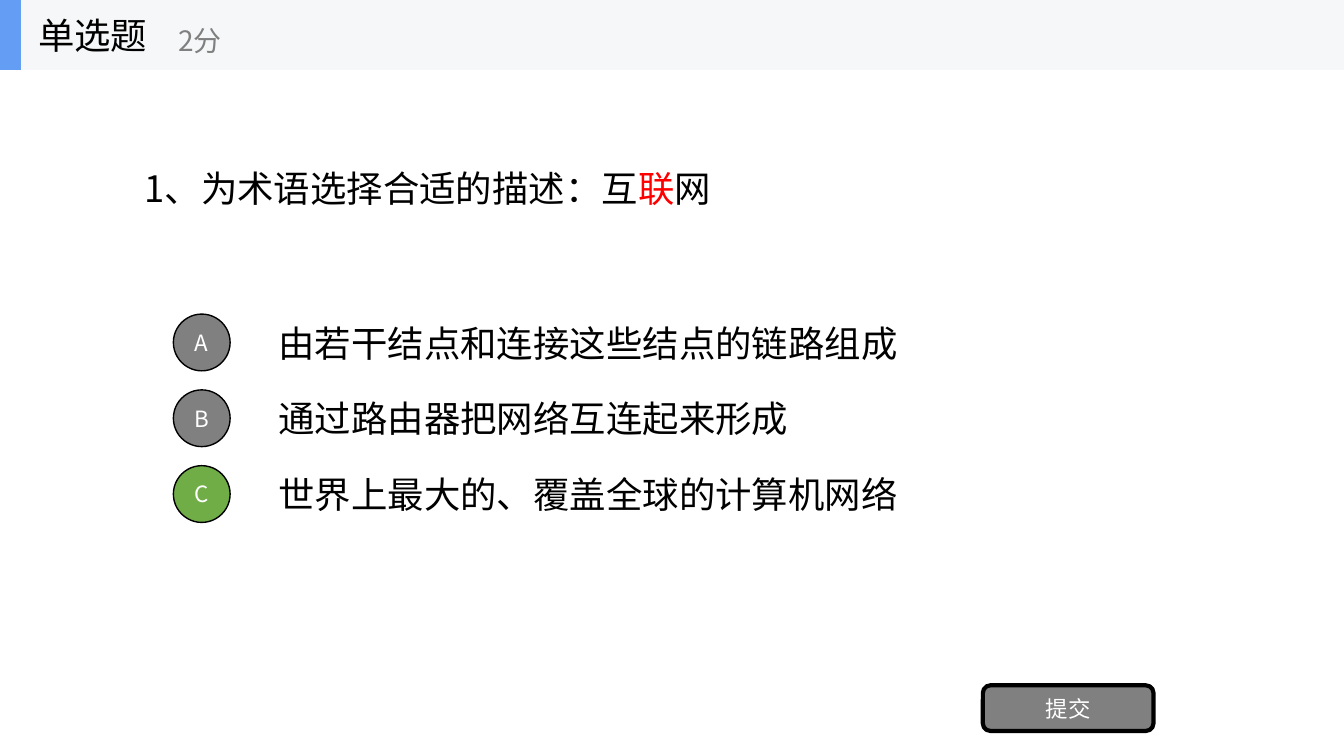
from lxml.etree import SubElement
from pptx import Presentation
from pptx.dml.color import RGBColor
from pptx.enum.shapes import MSO_SHAPE
from pptx.enum.text import MSO_ANCHOR, PP_ALIGN
from pptx.oxml.ns import qn
from pptx.util import Cm, Pt

FONT = "Noto Sans CJK SC"
COLORS = {
    "ink": "000000",
    "accent": "FF0000",
    "gray": "808080",
    "answer": "70AD47",
    "white": "FFFFFF",
    "bar": "F6F7F8",
    "marker": "639EF4",
}
OPTIONS = [
    ("A", "由若干结点和连接这些结点的链路组成", "gray"),
    ("B", "通过路由器把网络互连起来形成", "gray"),
    ("C", "世界上最大的、覆盖全球的计算机网络", "answer"),
]
OPTION_TOP, OPTION_HEIGHT, OPTION_PITCH = 7.74, 1.78, 1.91
BADGE_SIZE = 1.43
BAR_WIDTH, BAR_HEIGHT = 33.87, 1.76


def color(name):
    """Return the palette colour with this name."""
    return RGBColor.from_string(COLORS[name])


def apply_format(target, values):
    """Set every attribute in values on target."""
    for attribute, value in values.items():
        setattr(target, attribute, value)


def write_text(frame, parts, size, align=PP_ALIGN.LEFT):
    """Write (words, colour) parts as one vertically centred paragraph."""
    apply_format(frame, {"word_wrap": True, "vertical_anchor": MSO_ANCHOR.MIDDLE})
    paragraph = frame.paragraphs[0]
    paragraph.alignment = align
    for words, tint in parts:
        run = paragraph.add_run()
        run.text = words
        apply_format(run.font, {"name": FONT, "size": Pt(size)})
        run.font.color.rgb = color(tint)
        SubElement(run.font._element, qn("a:ea"), typeface=FONT)


def add_label(slide, box, parts, size=26):
    """Add a text box holding one line of coloured parts."""
    label = slide.shapes.add_textbox(*map(Cm, box))
    write_text(label.text_frame, parts, size)


def add_panel(slide, kind, box, fill, outline=0):
    """Add a filled shape, outlined in ink when outline is a width in points."""
    panel = slide.shapes.add_shape(kind, *map(Cm, box))
    panel.shadow.inherit = False
    panel.fill.solid()
    panel.fill.fore_color.rgb = color(fill)
    if outline:
        panel.line.color.rgb = color("ink")
        panel.line.width = Pt(outline)
    else:
        panel.line.fill.background()
    return panel


def add_button(slide, kind, box, caption, fill, outline):
    """Add an outlined shape with a centred white caption."""
    button = add_panel(slide, kind, box, fill, outline)
    margins = ("margin_left", "margin_right", "margin_top", "margin_bottom")
    apply_format(button.text_frame, dict.fromkeys(margins, 0))
    write_text(button.text_frame, [(caption, "white")], 16, PP_ALIGN.CENTER)


def add_option(slide, index, letter, answer, fill):
    """Add one answer row with its round letter badge."""
    top = OPTION_TOP + index * OPTION_PITCH
    add_label(slide, (6.77, top, 23.71, OPTION_HEIGHT), [(answer, "ink")])
    badge_top = top + (OPTION_HEIGHT - BADGE_SIZE) / 2
    badge_box = (4.37, badge_top, BADGE_SIZE, BADGE_SIZE)
    add_button(slide, MSO_SHAPE.OVAL, badge_box, letter, fill, 1)


def add_header(slide):
    """Add the top bar with the question type and its points."""
    add_panel(slide, MSO_SHAPE.RECTANGLE, (0, 0, BAR_WIDTH, BAR_HEIGHT), "bar")
    add_panel(slide, MSO_SHAPE.RECTANGLE, (0, 0, 0.53, BAR_HEIGHT), "marker")
    add_label(slide, (0.71, 0, 5.28, BAR_HEIGHT), [("单选题", "ink")])
    add_label(slide, (4.24, 0.31, 6.35, 1.43), [("2分", "gray")], 20)


def main():
    """Build the quiz slide and save it."""
    deck = Presentation()
    apply_format(deck, {"slide_width": Cm(BAR_WIDTH), "slide_height": Cm(19.05)})
    slide = deck.slides.add_slide(deck.slide_layouts[6])
    question = [("1、为术语选择合适的描述：互", "ink"), ("联", "accent"), ("网", "ink")]
    add_label(slide, (3.39, BAR_HEIGHT, 27.09, 5.94), question)
    for index, option in enumerate(OPTIONS):
        add_option(slide, index, *option)
    submit_box = (24.77, 17.27, 4.3, 1.15)
    add_button(slide, MSO_SHAPE.ROUNDED_RECTANGLE, submit_box, "提交", "gray", 3)
    add_header(slide)
    deck.save("out.pptx")


if __name__ == "__main__":
    main()
